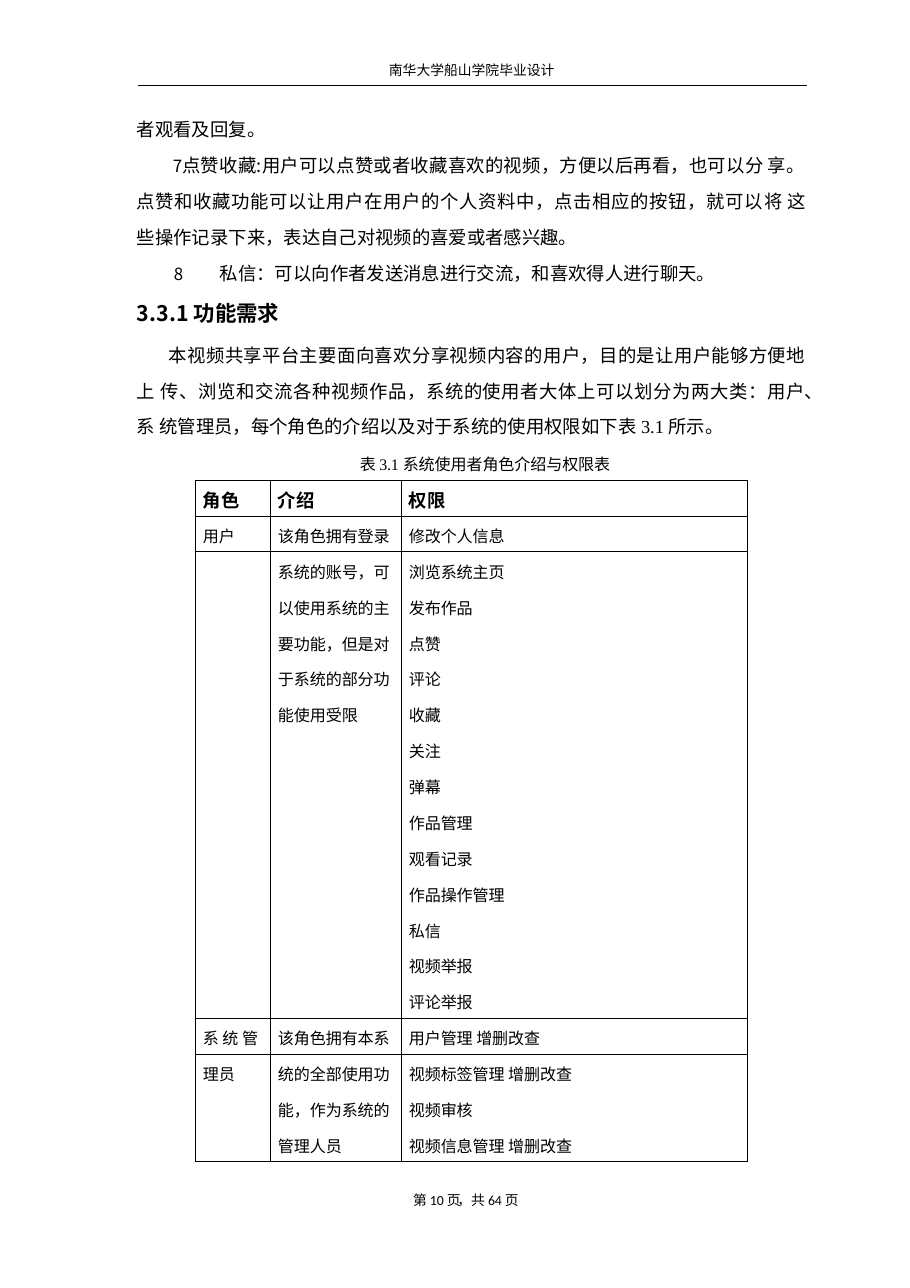
from lxml import etree
from pptx import Presentation
from pptx.dml.color import RGBColor
from pptx.enum.shapes import MSO_CONNECTOR
from pptx.enum.text import PP_ALIGN
from pptx.oxml.ns import qn
from pptx.util import Pt

LINE = MSO_CONNECTOR.STRAIGHT
LEFT, JUST = PP_ALIGN.LEFT, PP_ALIGN.JUSTIFY
PX = 8298
SANS, SERIF, LATIN = "Noto Sans CJK SC", "Times New Roman", "Calibri"
BLACK = RGBColor.from_string("000000")

prs = Presentation()
prs.slide_width, prs.slide_height = 910 * PX, 1288 * PX
slide = prs.slides.add_slide(prs.slide_layouts[6])


def write(par, runs, size, bold=False):
    """Fill a paragraph with (text, spacing, font) runs."""
    for text, gap, face in runs:
        run = par.add_run()
        run.text = text
        if gap:
            run._r.get_or_add_rPr().set("spc", str(gap))
        if face != SANS:
            run.font.name = face
    font = par.font
    font.size, font.bold, font.name = Pt(size), bold, SANS
    font.color.rgb = BLACK
    base = par._p.pPr.find(qn("a:defRPr"))
    etree.SubElement(base, qn("a:ea"), typeface=SANS)


def frame(x, y, w, h):
    """Add a text box without insets."""
    text = slide.shapes.add_textbox(x * PX, y * PX, w * PX, h * PX).text_frame
    text.word_wrap = True
    text.margin_left = text.margin_right = 0
    text.margin_top = text.margin_bottom = 0
    return text


# Page header and rule
head = frame(389, 62, 180, 20)
write(head.paragraphs[0], [("南华大学船山学院毕业设计", 0, SANS)], 9)
rule = slide.shapes.add_connector(LINE, 138 * PX, 85 * PX, 807 * PX, 85 * PX)
rule.line.color.rgb = BLACK
rule.line.width = Pt(0.6)
etree.SubElement(rule._element.spPr, qn("a:effectLst"))

# Body: margin, indent, space before, number, alignment, size, bold, runs
body = [
    (1, 0, 0, None, LEFT, 12, False, [("者观看及回复。", 0, SANS)]),
    (1, 36, 0, 7, JUST, 12, False, [
        ("点赞收藏:用户可以点赞或者收藏喜欢的视频，方便以后再看，也可以分 享。"
         "点赞和收藏功能可以让用户在用户的个人资料中，点击相应的按钮，就可以", 10, SANS),
        ("将 这些操作记录下来，表达自己对视频的喜爱或者感兴趣。", 0, SANS)]),
    (84, -46, 0, 7, LEFT, 12, False, [
        ("私信：可以向作者发送消息进行交流，和喜欢得人进行聊天。", 0, SANS)]),
    (1, 0, 6, None, JUST, 14, True, [
        ("3.3.1 ", 0, SANS), ("功能需求", -10, SANS)]),
    (1, 32, 4, None, JUST, 12, False, [
        ("本视频共享平台主要面向喜欢分享视频内容的用户，目的是让用户能够方便地上 ", 0, SANS),
        ("传、浏览和交流各种视频作品，系统的使用者大体上可以划分为两大类：用户、", 10, SANS),
        ("系 统管理员，每个角色的介绍以及对于系统的使用权限如下表 ", 0, SANS),
        ("3.1 ", 0, SERIF), ("所示。", 0, SANS)]),
    (224, 0, 0, None, JUST, 10.5, False, [
        ("表 ", -10, SANS), ("3.1 ", -10, SERIF),
        ("系统使用者角色介绍与权限表", 0, SANS)]),
]
main = frame(136, 104, 670, 370)
for i, (left, dent, gap, num, align, size, bold, runs) in enumerate(body):
    par = main.add_paragraph() if i else main.paragraphs[0]
    par.alignment = align
    par.line_spacing = Pt(23.5)
    if gap:
        par.space_before = gap * PX
    props = par._p.get_or_add_pPr()
    props.set("marL", str(left * PX))
    props.set("indent", str(dent * PX))
    if num:
        etree.SubElement(props, qn("a:buSzPct"), val="92000")
        etree.SubElement(props, qn("a:buAutoNum"), type="arabicPlain", startAt=str(num))
    write(par, runs, size, bold)

# Role table
rows = [
    ("角色", "介绍", "权限"),
    ("用户", "该角色拥有登录", "修改个人信息"),
    ("", "系统的账号，可", "浏览系统主页"),
    ("", "以使用系统的主", "发布作品"),
    ("", "要功能，但是对", "点赞"),
    ("", "于系统的部分功", "评论"),
    ("", "能使用受限", "收藏"),
    ("", "", "关注"),
    ("", "", "弹幕"),
    ("", "", "作品管理"),
    ("", "", "观看记录"),
    ("", "", "作品操作管理"),
    ("", "", "私信"),
    ("", "", "视频举报"),
    ("", "", "评论举报"),
    ("系 统 管", "该角色拥有本系", "用户管理 增删改查"),
    ("理员", "统的全部使用功", "视频标签管理 增删改查"),
    ("", "能，作为系统的", "视频审核"),
    ("", "管理人员", "视频信息管理 增删改查"),
]
ruled = {0, 1, 14, 15, 18}
high = 682
grid = slide.shapes.add_table(len(rows), 3, 195 * PX, 480 * PX, 552 * PX, high * PX).table
grid.first_row = grid.horz_banding = False
for col, wide in zip(grid.columns, (75, 131, 346)):
    col.width = wide * PX
for r, row in enumerate(rows):
    grid.rows[r].height = high * PX // len(rows)
    for c, text in enumerate(row):
        cell = grid.cell(r, c)
        cell.margin_left, cell.margin_right = 8 * PX, 0
        cell.margin_top = (6 if r == 0 else 8) * PX if text else 0
        cell.margin_bottom = 0
        props = cell._tc.get_or_add_tcPr()
        sides = {"L": True, "R": True, "T": r == 0 or r - 1 in ruled, "B": r in ruled}
        for side, drawn in sides.items():
            edge = etree.SubElement(props, qn("a:ln" + side), w="6350")
            if drawn:
                fill = etree.SubElement(edge, qn("a:solidFill"))
                etree.SubElement(fill, qn("a:srgbClr"), val="000000")
            else:
                etree.SubElement(edge, qn("a:noFill"))
        cell.fill.background()
        if text:
            size = 12 if r == 0 else 10.5
            write(cell.text_frame.paragraphs[0], [(text, 0, SANS)], size, r == 0)

# Page number
foot = frame(413, 1192, 140, 20)
write(foot.paragraphs[0], [
    ("第 ", 0, SANS), ("10 ", 0, LATIN), ("页，", -220, SANS),
    ("共 ", 0, SANS), ("64 ", -10, LATIN), ("页", 0, SANS)], 9)

prs.save("out.pptx")
